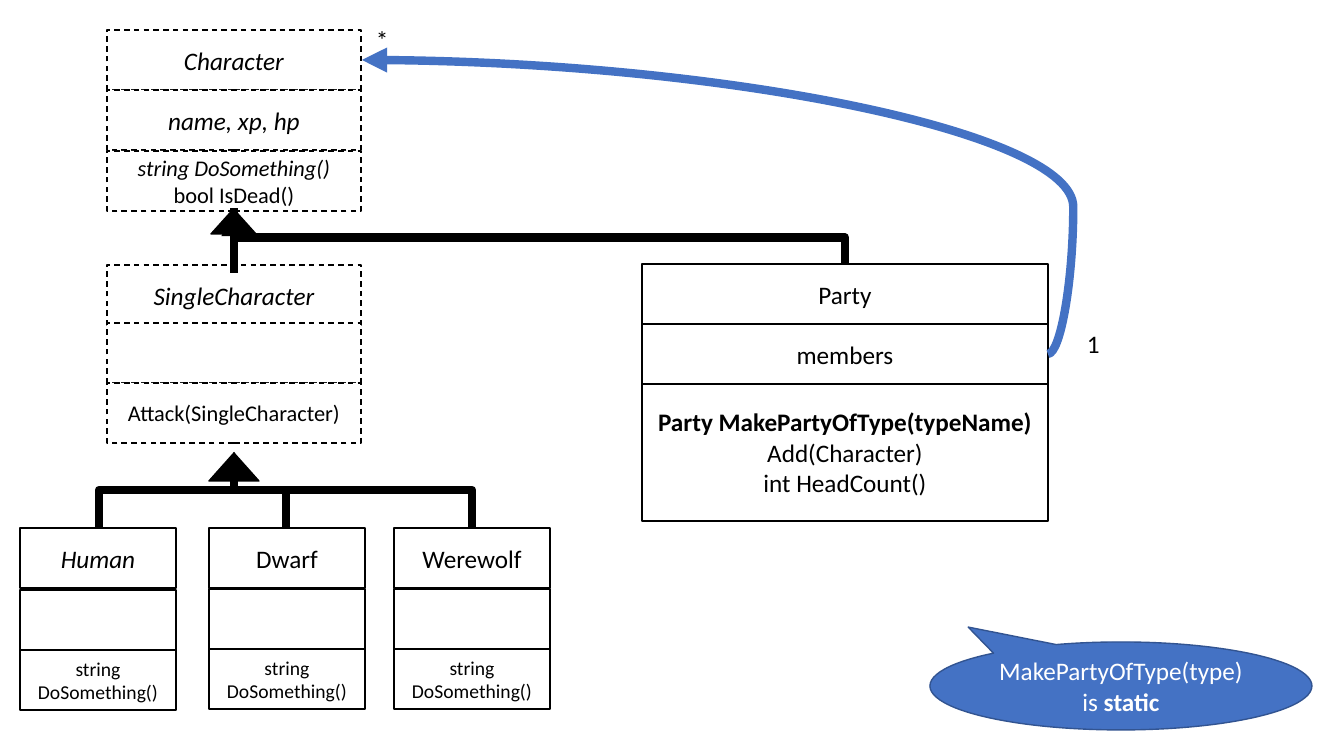
from dataclasses import dataclass
from typing import Any, Optional

from lxml import etree
from pptx import Presentation
from pptx import util as u
from pptx.dml.color import RGBColor
from pptx.enum import dml, shapes, text
from pptx.oxml.ns import qn

PX = 914400 / 100.8


@dataclass(frozen=True)
class Theme:
    font: str = "Calibri"
    ink: str = "000000"
    paper: str = "FFFFFF"
    accent: str = "4472C4"
    accent_edge: str = "325491"
    title: int = 18
    method: int = 16
    small: int = 14
    thin: int = 1
    thick: int = 6


@dataclass(frozen=True)
class Run:
    words: str
    bold: bool = False
    italic: bool = False


Lines = tuple[tuple[Run, ...], ...]


@dataclass(frozen=True)
class Row:
    top: int
    lines: Lines = ()
    size: int = 18
    height: int = 60


@dataclass(frozen=True)
class UmlClass:
    left: int
    width: int
    rows: tuple[Row, ...]
    dashed: bool = False


@dataclass(frozen=True)
class Link:
    kind: Any
    start: tuple[int, int]
    end: tuple[int, int]
    color: str
    arrow: bool = True
    rotation: int = 0
    bend: Optional[int] = None


T = Theme()
S = shapes.MSO_SHAPE
C = shapes.MSO_CONNECTOR


def emu(px: float) -> int:
    return round(px * PX)


def one(words: str, **style: bool) -> Lines:
    return ((Run(words, **style),),)


def write(tf: Any, lines: Lines, size: int, color: str, align: Any) -> None:
    for i, runs in enumerate(lines):
        p = tf.paragraphs[0] if i == 0 else tf.add_paragraph()
        p.alignment = align
        for run in runs:
            if run.words == "\n":
                p.add_line_break()
                continue
            r = p.add_run()
            r.text = run.words
            style = {"name": T.font, "size": u.Pt(size), "bold": run.bold, "italic": run.italic}
            for key, value in style.items():
                setattr(r.font, key, value)
            r.font.color.rgb = RGBColor.from_string(color)


def draw_shape(s: Any, kind: Any, box: tuple[int, int, int, int], fill: str, edge: str,
               lines: Lines = (), size: int = T.title, color: str = T.ink,
               dashed: bool = False) -> Any:
    sp = s.shapes.add_shape(kind, *map(emu, box))
    sp.shadow.inherit = False
    sp.fill.solid()
    sp.fill.fore_color.rgb = RGBColor.from_string(fill)
    sp.line.color.rgb = RGBColor.from_string(edge)
    sp.line.width = u.Pt(T.thin)
    if dashed:
        sp.line.dash_style = dml.MSO_LINE.DASH
    tf = sp.text_frame
    for key, value in {"word_wrap": True, "vertical_anchor": text.MSO_ANCHOR.MIDDLE}.items():
        setattr(tf, key, value)
    write(tf, lines, size, color, text.PP_ALIGN.CENTER)
    return sp


def draw_class(s: Any, uml: UmlClass) -> None:
    for row in uml.rows:
        draw_shape(s, S.RECTANGLE, (uml.left, row.top, uml.width, row.height), T.paper, T.ink,
                   row.lines, row.size, dashed=uml.dashed)


def draw_link(s: Any, link: Link) -> None:
    sp = s.shapes.add_connector(link.kind, *map(emu, link.start + link.end))
    sp.line.color.rgb = RGBColor.from_string(link.color)
    sp.line.width = u.Pt(T.thick)
    pr = sp._element.spPr
    if link.rotation:
        pr.find(qn("a:xfrm")).set("rot", str(link.rotation * 60000))
    if link.bend is not None:
        geom = pr.find(qn("a:prstGeom"))
        av = geom.find(qn("a:avLst"))
        if av is None:
            av = etree.SubElement(geom, qn("a:avLst"))
        etree.SubElement(av, qn("a:gd"), name="adj1", fmla=f"val {link.bend}")
    if link.arrow:
        etree.SubElement(sp.line._get_or_add_ln(), qn("a:tailEnd"), type="triangle")
    etree.SubElement(pr, qn("a:effectLst"))


def upward_elbow(start: tuple[int, int], end: tuple[int, int]) -> Link:
    (x1, y1), (x2, y2) = start, end
    cx, cy = (x1 + x2) / 2, (y1 + y2) / 2
    from_left = x1 < x2
    half_w = (y1 - y2) / 2 * (1 if from_left else -1)
    half_h = abs(x1 - x2) / 2
    return Link(C.ELBOW, (cx + half_w, cy + half_h), (cx - half_w, cy - half_h), T.ink,
                rotation=90 if from_left else 270)


def draw_label(s: Any, words: str, left: int, top: int) -> None:
    tf = s.shapes.add_textbox(*map(emu, (left, top, 33, 40))).text_frame
    for key, value in {"word_wrap": False, "auto_size": text.MSO_AUTO_SIZE.SHAPE_TO_FIT_TEXT}.items():
        setattr(tf, key, value)
    write(tf, one(words), T.title, T.ink, text.PP_ALIGN.LEFT)


def species(name: str, left: int, shift: int = 0, italic: bool = False) -> UmlClass:
    return UmlClass(left, 156, (
        Row(528, one(name, italic=italic)),
        Row(589 + shift),
        Row(649 + shift, one("string DoSomething()"), T.small),
    ))


CLASSES = (
    UmlClass(107, 254, (
        Row(30, one("Character", italic=True)),
        Row(90, one("name, xp, hp", italic=True)),
        Row(151, one("string DoSomething()", italic=True) + one("bool IsDead()"), T.method),
    ), dashed=True),
    UmlClass(107, 254, (
        Row(265, one("SingleCharacter", italic=True)),
        Row(323),
        Row(383, one("Attack(SingleCharacter)"), T.method),
    ), dashed=True),
    species("Human", 20, shift=1, italic=True),
    species("Dwarf", 209),
    species("Werewolf", 394),
    UmlClass(642, 406, (
        Row(264, one("Party")),
        Row(383, one("Party MakePartyOfType(typeName)", bold=True)
            + ((Run("Add(Character)"), Run("\n"), Run("int HeadCount()")),), height=138),
        Row(324, one("members")),
    )),
)
TRIANGLES = ((209, 453, 50, 28), (211, 209, 45, 25))
LINKS = (
    *(upward_elbow((x, 528), (234, 452)) for x in (99, 286, 472)),
    Link(C.STRAIGHT, (234, 273), (234, 208), T.ink, arrow=False),
    upward_elbow((845, 264), (234, 211)),
    Link(C.CURVE, (1048, 354), (362, 60), T.accent, bend=-3700),
)

prs = Presentation()
prs.slide_width, prs.slide_height = emu(1344), emu(756)
s = prs.slides.add_slide(prs.slide_layouts[6])
for uml in CLASSES:
    draw_class(s, uml)
for triangle in TRIANGLES:
    draw_shape(s, S.ISOSCELES_TRIANGLE, triangle, T.ink, T.ink)
for link in LINKS:
    draw_link(s, link)
draw_label(s, "1", 1077, 323)
draw_label(s, "*", 366, 19)
callout = draw_shape(s, S.OVAL_CALLOUT, (930, 642, 382, 88), T.accent, T.accent_edge,
                     ((Run("MakePartyOfType(type) is "), Run("static", bold=True)),),
                     color=T.paper)
callout.adjustments[0], callout.adjustments[1] = -0.4, -0.67
prs.save("out.pptx")
